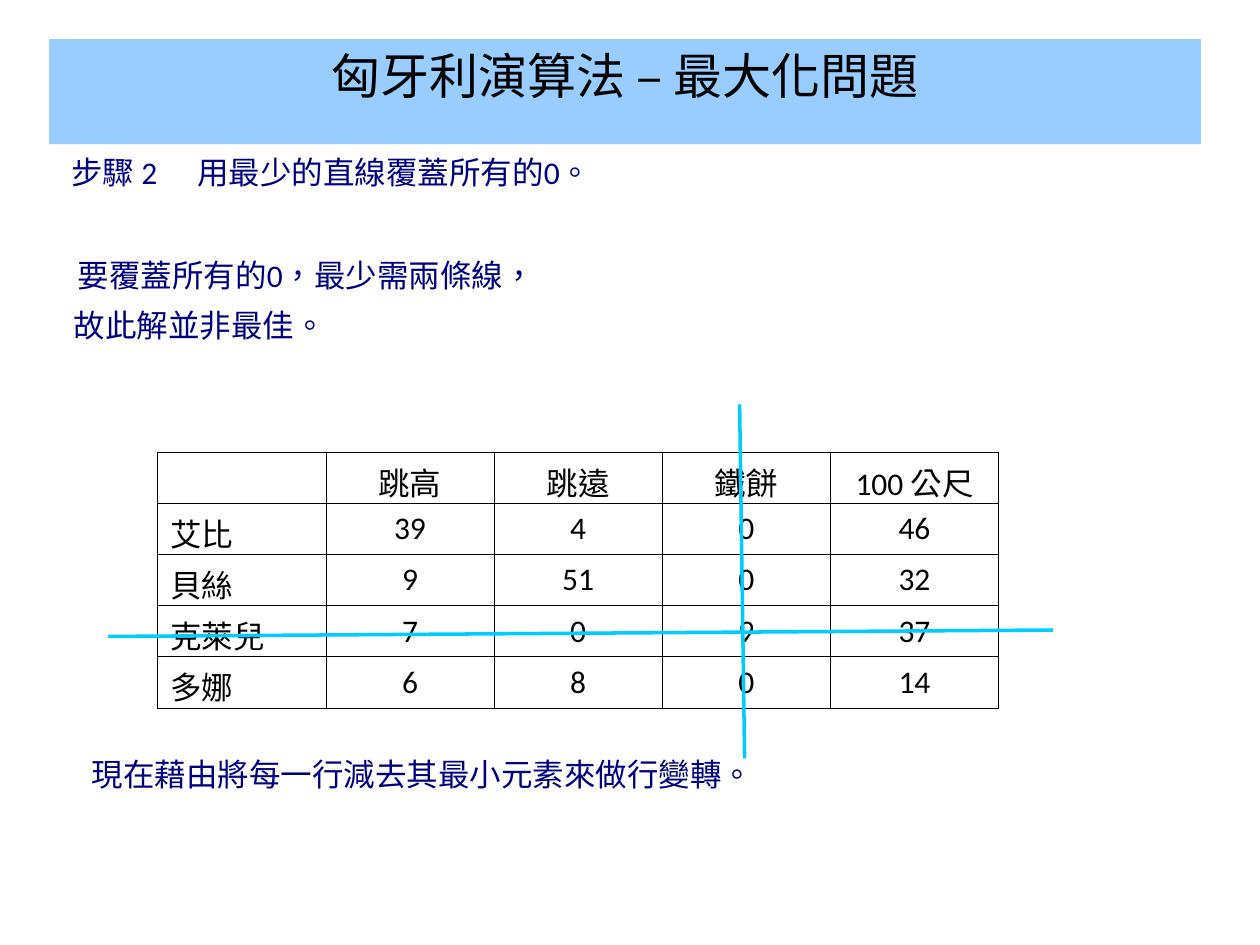
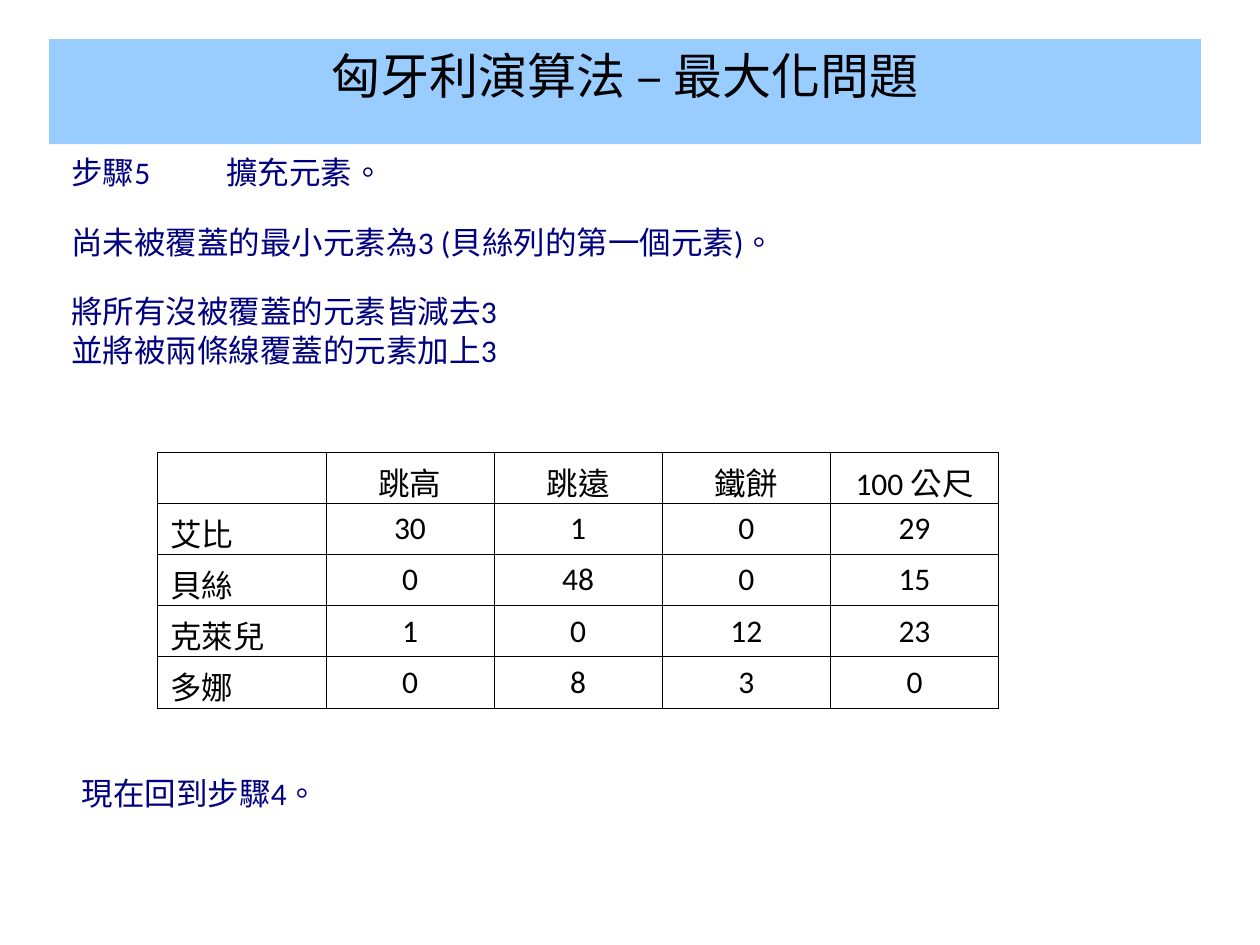
from dataclasses import dataclass, field

from lxml import etree
from pptx import Presentation
from pptx import util as u
from pptx.dml import color
from pptx.enum import lang, shapes, text
from pptx.oxml import ns


@dataclass(frozen=True)
class Theme:
    font: str = "Calibri"
    title_size: int = 28
    body_size: int = 18
    band: str = "99CCFF"
    ink: str = "000000"
    note: str = "000080"
    cover: str = "00CCFF"
    paper: str = "FFFFFF"
    border_width: float = 0.45
    cover_width: float = 2


@dataclass(frozen=True)
class Note:
    """One line of explanation; lengths in centimetres."""
    words: str
    left: float
    top: float
    tab: float = 2.54


@dataclass(frozen=True)
class CoverLine:
    """A straight line crossing out a row or column; lengths in centimetres."""
    start: tuple[float, float]
    end: tuple[float, float]


@dataclass(frozen=True)
class Step:
    notes: list[Note]
    scores: list[list[int]]
    cover_lines: list[CoverLine] = field(default_factory=list)


THEME = Theme()
TITLE = "匈牙利演算法 – 最大化問題"
EVENTS = ["跳高", "跳遠", "鐵餅", "100 公尺"]
ATHLETES = ["艾比", "貝絲", "克萊兒", "多娜"]
NOTE_LEFT, NOTE_WIDTH, NOTE_HEIGHT = 1.19, 22.43, 1.02
TABLE_LEFT, TABLE_TOP = 3.18, 9.12
COLUMN_WIDTH, ROW_HEIGHT = 3.39, 1.03

STEPS = [
    Step(
        notes=[
            Note("步驟 2\t用最少的直線覆蓋所有的0。", NOTE_LEFT, 2.97),
            Note("要覆蓋所有的0，最少需兩條線，", 1.32, 5.03),
            Note("故此解並非最佳。", 1.24, 6.05),
            Note("現在藉由將每一行減去其最小元素來做行變轉。", 1.6, 15.09),
        ],
        scores=[[39, 4, 0, 46], [9, 51, 0, 32], [7, 0, 9, 37], [6, 8, 0, 14]],
        cover_lines=[
            CoverLine((14.91, 8.15), (15.01, 15.29)),
            CoverLine((2.18, 12.83), (21.23, 12.7)),
        ],
    ),
    Step(
        notes=[
            Note("步驟5\t擴充元素。", NOTE_LEFT, 2.97, tab=3.12),
            Note("尚未被覆蓋的最小元素為3 (貝絲列的第一個元素)。", NOTE_LEFT, 4.37),
            Note("將所有沒被覆蓋的元素皆減去3", NOTE_LEFT, 5.77),
            Note("並將被兩條線覆蓋的元素加上3", NOTE_LEFT, 6.55),
            Note("現在回到步驟4。", 1.4, 15.47),
        ],
        scores=[[30, 1, 0, 29], [0, 48, 0, 15], [1, 0, 12, 23], [0, 8, 3, 0]],
    ),
]


def rgb(value: str) -> color.RGBColor:
    return color.RGBColor.from_string(value)


def format_runs(paragraph, size: float, ink: str) -> None:
    for run in paragraph.runs:
        run.font.name = THEME.font
        run.font.size = u.Pt(size)
        run.font.color.rgb = rgb(ink)
        run.font.language_id = lang.MSO_LANGUAGE_ID.TRADITIONAL_CHINESE


def add_tab_stop(paragraph, position: float) -> None:
    properties = paragraph._p.get_or_add_pPr()
    tabs = etree.SubElement(properties, ns.qn("a:tabLst"))
    etree.SubElement(tabs, ns.qn("a:tab"), pos=str(u.Cm(position)), algn="l")


def set_title(slide) -> None:
    title = slide.shapes.title
    title.left, title.top = u.Cm(0.99), u.Cm(0.79)
    title.width, title.height = u.Cm(23.22), u.Cm(1.45)
    title.fill.solid()
    title.fill.fore_color.rgb = rgb(THEME.band)
    frame = title.text_frame
    frame.text = TITLE
    frame.auto_size = text.MSO_AUTO_SIZE.SHAPE_TO_FIT_TEXT
    frame.vertical_anchor = text.MSO_ANCHOR.TOP
    frame.paragraphs[0].alignment = text.PP_ALIGN.CENTER
    format_runs(frame.paragraphs[0], THEME.title_size, THEME.ink)


def add_note(slide, note: Note) -> None:
    box = slide.shapes.add_textbox(
        u.Cm(note.left), u.Cm(note.top), u.Cm(NOTE_WIDTH), u.Cm(NOTE_HEIGHT))
    frame = box.text_frame
    frame.word_wrap = True
    frame.auto_size = text.MSO_AUTO_SIZE.SHAPE_TO_FIT_TEXT
    paragraph = frame.paragraphs[0]
    paragraph.text = note.words
    if "\t" in note.words:
        add_tab_stop(paragraph, note.tab)
    format_runs(paragraph, THEME.body_size, THEME.note)


def add_borders(cell) -> None:
    """Outline all four sides; borders must come before the cell fill."""
    properties = cell._tc.get_or_add_tcPr()
    for side in ("a:lnL", "a:lnR", "a:lnT", "a:lnB"):
        line = etree.SubElement(
            properties, ns.qn(side), w=str(u.Pt(THEME.border_width)))
        fill = etree.SubElement(line, ns.qn("a:solidFill"))
        etree.SubElement(fill, ns.qn("a:srgbClr"), val=THEME.ink)


def add_score_table(slide, scores: list[list[int]]) -> None:
    rows = [["", *EVENTS]]
    rows += [[athlete, *map(str, line)] for athlete, line in zip(ATHLETES, scores)]
    row_count, column_count = len(rows), len(rows[0])
    table = slide.shapes.add_table(
        row_count, column_count, u.Cm(TABLE_LEFT), u.Cm(TABLE_TOP),
        u.Cm(COLUMN_WIDTH * column_count), u.Cm(ROW_HEIGHT * row_count)).table
    table.first_row = table.horz_banding = False
    for column in table.columns:
        column.width = u.Cm(COLUMN_WIDTH)
    for row, words in zip(table.rows, rows):
        row.height = u.Cm(ROW_HEIGHT)
        for index, (cell, word) in enumerate(zip(row.cells, words)):
            add_borders(cell)
            cell.fill.solid()
            cell.fill.fore_color.rgb = rgb(THEME.paper)
            paragraph = cell.text_frame.paragraphs[0]
            paragraph.text = word
            if index > 0:
                paragraph.alignment = text.PP_ALIGN.CENTER
            format_runs(paragraph, THEME.body_size, THEME.ink)


def add_cover_line(slide, cover_line: CoverLine) -> None:
    ends = [u.Cm(length) for length in (*cover_line.start, *cover_line.end)]
    connector = slide.shapes.add_connector(shapes.MSO_CONNECTOR.STRAIGHT, *ends)
    connector.line.color.rgb = rgb(THEME.cover)
    connector.line.width = u.Pt(THEME.cover_width)
    etree.SubElement(connector._element.spPr, ns.qn("a:effectLst"))


def add_step(presentation, step: Step) -> None:
    slide = presentation.slides.add_slide(
        presentation.slide_layouts.get_by_name("Title Only"))
    set_title(slide)
    for note in step.notes:
        add_note(slide, note)
    add_score_table(slide, step.scores)
    for cover_line in step.cover_lines:
        add_cover_line(slide, cover_line)


def main() -> None:
    presentation = Presentation()
    presentation.slide_width, presentation.slide_height = u.Cm(25.4), u.Cm(19.05)
    for step in STEPS:
        add_step(presentation, step)
    presentation.save("out.pptx")


if __name__ == "__main__":
    main()
